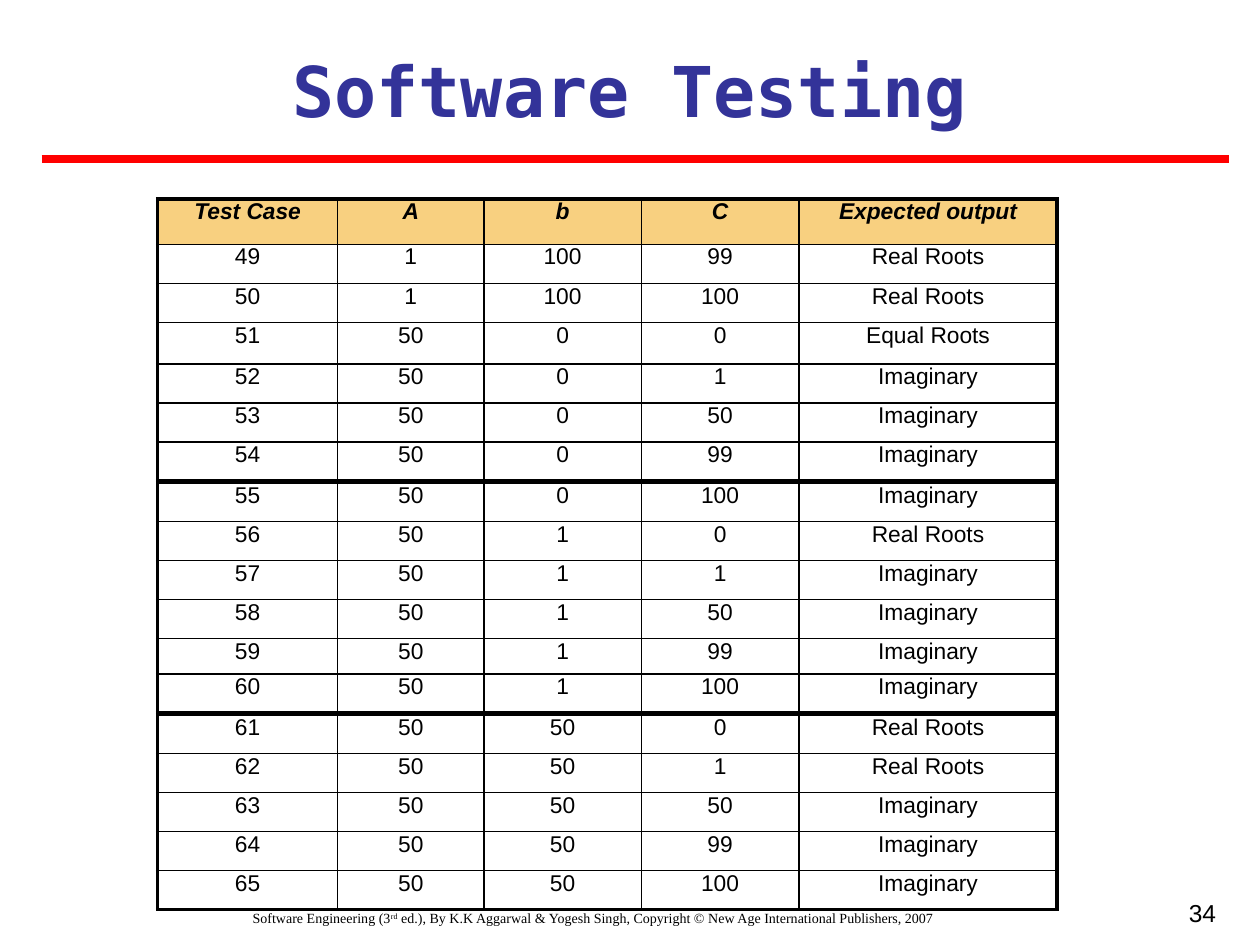
from lxml import etree
from pptx import Presentation
from pptx.dml.color import RGBColor
from pptx.enum import shapes, text
from pptx.oxml import ns
from pptx.util import Inches, Pt

BLACK = RGBColor(0x00, 0x00, 0x00)
NAVY = RGBColor(0x33, 0x33, 0x99)
RED = RGBColor(0xFF, 0x00, 0x00)
SAND = RGBColor(0xF8, 0xD0, 0x80)
THIN, THICK = Pt(1), Pt(2.25)


def add_label(box, runs, font_name, size, color, alignment, bold=False):
    label = slide.shapes.add_textbox(*[Inches(value) for value in box])
    label.text_frame.word_wrap = True
    paragraph = label.text_frame.paragraphs[0]
    paragraph.alignment = alignment
    font = paragraph.font
    font.name, font.size, font.bold = font_name, Pt(size), bold
    font.color.rgb = color
    for words in runs:
        paragraph.add_run().text = words
    return label


def add_border(cell, side, width):
    properties = cell._tc.get_or_add_tcPr()
    line = etree.SubElement(properties, ns.qn(f"a:ln{side}"), w=str(width))
    fill = etree.SubElement(line, ns.qn("a:solidFill"))
    etree.SubElement(fill, ns.qn("a:srgbClr"), val=str(BLACK))


presentation = Presentation()
presentation.slide_width = Inches(10)
presentation.slide_height = Inches(7.5)
slide = presentation.slides.add_slide(presentation.slide_layouts[6])

footer = add_label(
    (0.25, 7.17, 8.92, 0.33),
    ["Software Engineering (3", "rd",
     " ed.), By K.K Aggarwal & Yogesh Singh, Copyright © New Age International Publishers, 2007"],
    "Times New Roman", 8, BLACK, text.PP_ALIGN.CENTER)
ordinal = footer.text_frame.paragraphs[0].runs[1]
ordinal._r.get_or_add_rPr().set("baseline", "30000")

add_label((7.42, 7.08, 2.33, 0.59), ["34"], "Arial", 14, BLACK, text.PP_ALIGN.RIGHT)
title = add_label((0.33, 0.32, 9.33, 0.77), ["Software Testing"],
                  "DejaVu Sans Mono", 40, NAVY, text.PP_ALIGN.CENTER, bold=True)
title.text_frame.vertical_anchor = text.MSO_ANCHOR.BOTTOM

rule = slide.shapes.add_connector(
    shapes.MSO_CONNECTOR.STRAIGHT, Inches(0.33), Inches(1.26), Inches(9.75), Inches(1.26))
rule.line.color.rgb = RED
rule.line.width = Pt(4.5)
etree.SubElement(rule._element.spPr, ns.qn("a:effectLst"))

column_widths = [1.43, 1.16, 1.25, 1.25, 2.05]
header = ("Test Case", "A", "b", "C", "Expected output")
test_tables = [
    (1.58, [0.36, 0.31, 0.31, 0.33, 0.31, 0.31, 0.31], [
        header,
        (49, 1, 100, 99, "Real Roots"),
        (50, 1, 100, 100, "Real Roots"),
        (51, 50, 0, 0, "Equal Roots"),
        (52, 50, 0, 1, "Imaginary"),
        (53, 50, 0, 50, "Imaginary"),
        (54, 50, 0, 99, "Imaginary"),
    ]),
    (3.83, [0.31, 0.31, 0.31, 0.31, 0.28, 0.31], [
        (55, 50, 0, 100, "Imaginary"),
        (56, 50, 1, 0, "Real Roots"),
        (57, 50, 1, 1, "Imaginary"),
        (58, 50, 1, 50, "Imaginary"),
        (59, 50, 1, 99, "Imaginary"),
        (60, 50, 1, 100, "Imaginary"),
    ]),
    (5.67, [0.31] * 5, [
        (61, 50, 50, 0, "Real Roots"),
        (62, 50, 50, 1, "Real Roots"),
        (63, 50, 50, 50, "Imaginary"),
        (64, 50, 50, 99, "Imaginary"),
        (65, 50, 50, 100, "Imaginary"),
    ]),
]

for top, row_heights, rows in test_tables:
    last_row, last_column = len(rows) - 1, len(column_widths) - 1
    table = slide.shapes.add_table(
        len(rows), len(column_widths), Inches(1.25), Inches(top),
        Inches(sum(column_widths)), Inches(sum(row_heights))).table
    for column, width in zip(table.columns, column_widths):
        column.width = Inches(width)
    for row, height in zip(table.rows, row_heights):
        row.height = Inches(height)
    for row_index, values in enumerate(rows):
        is_header = values is header
        table.first_row = is_header or table.first_row and row_index > 0
        for column_index, value in enumerate(values):
            cell = table.cell(row_index, column_index)
            cell.margin_left = cell.margin_right = Inches(0.1)
            cell.margin_top = cell.margin_bottom = 0
            cell.text = str(value)
            paragraph = cell.text_frame.paragraphs[0]
            paragraph.alignment = text.PP_ALIGN.CENTER
            font = paragraph.font
            font.name, font.size = "Arial", Pt(13)
            font.bold = font.italic = is_header
            font.color.rgb = BLACK
            outer_sides = {"L": column_index == 0, "R": column_index == last_column,
                           "T": row_index == 0, "B": row_index == last_row}
            for side, is_outer in outer_sides.items():
                add_border(cell, side, THICK if is_outer else THIN)
            if is_header:
                cell.fill.solid()
                cell.fill.fore_color.rgb = SAND
            else:
                cell.fill.background()

presentation.save("out.pptx")
